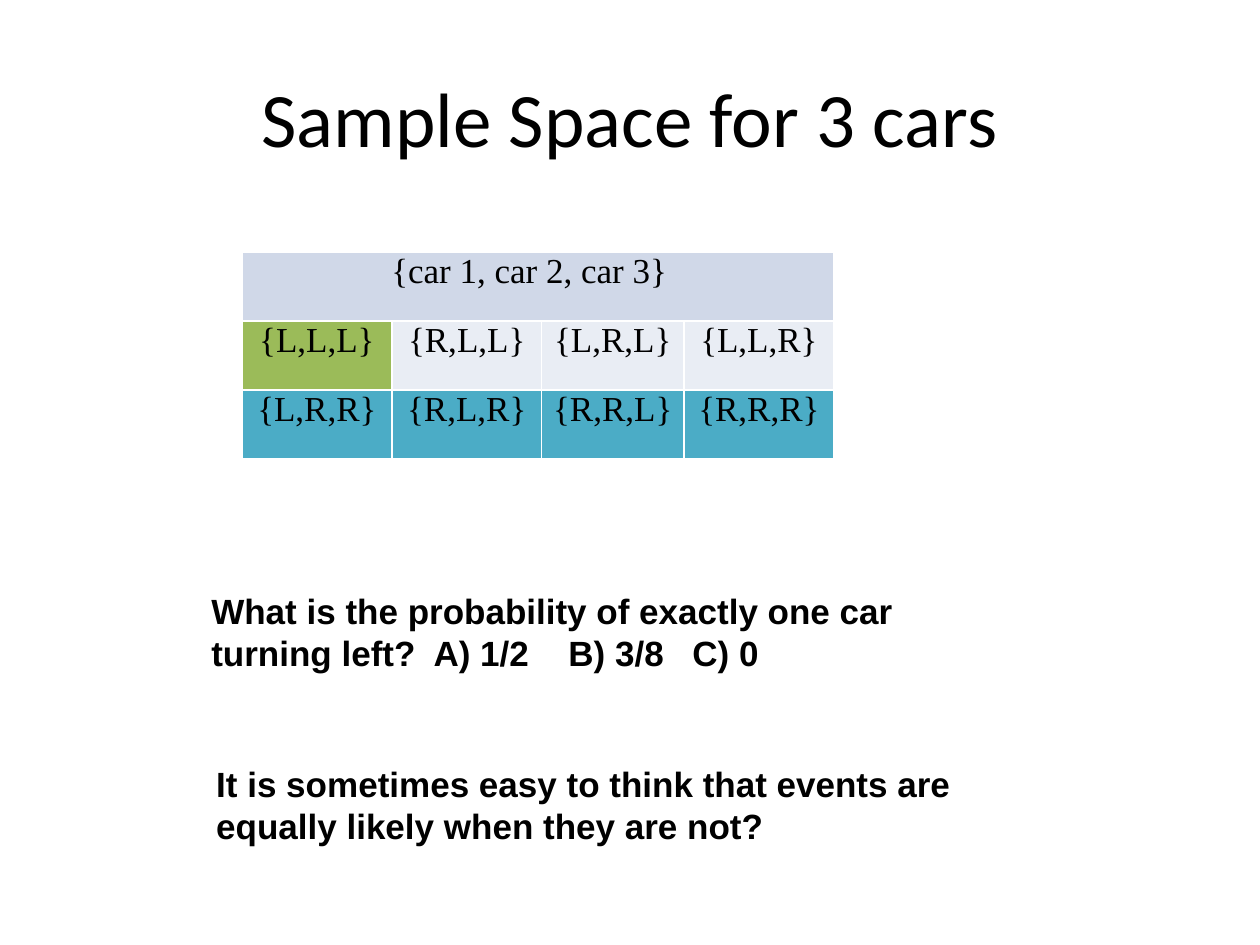
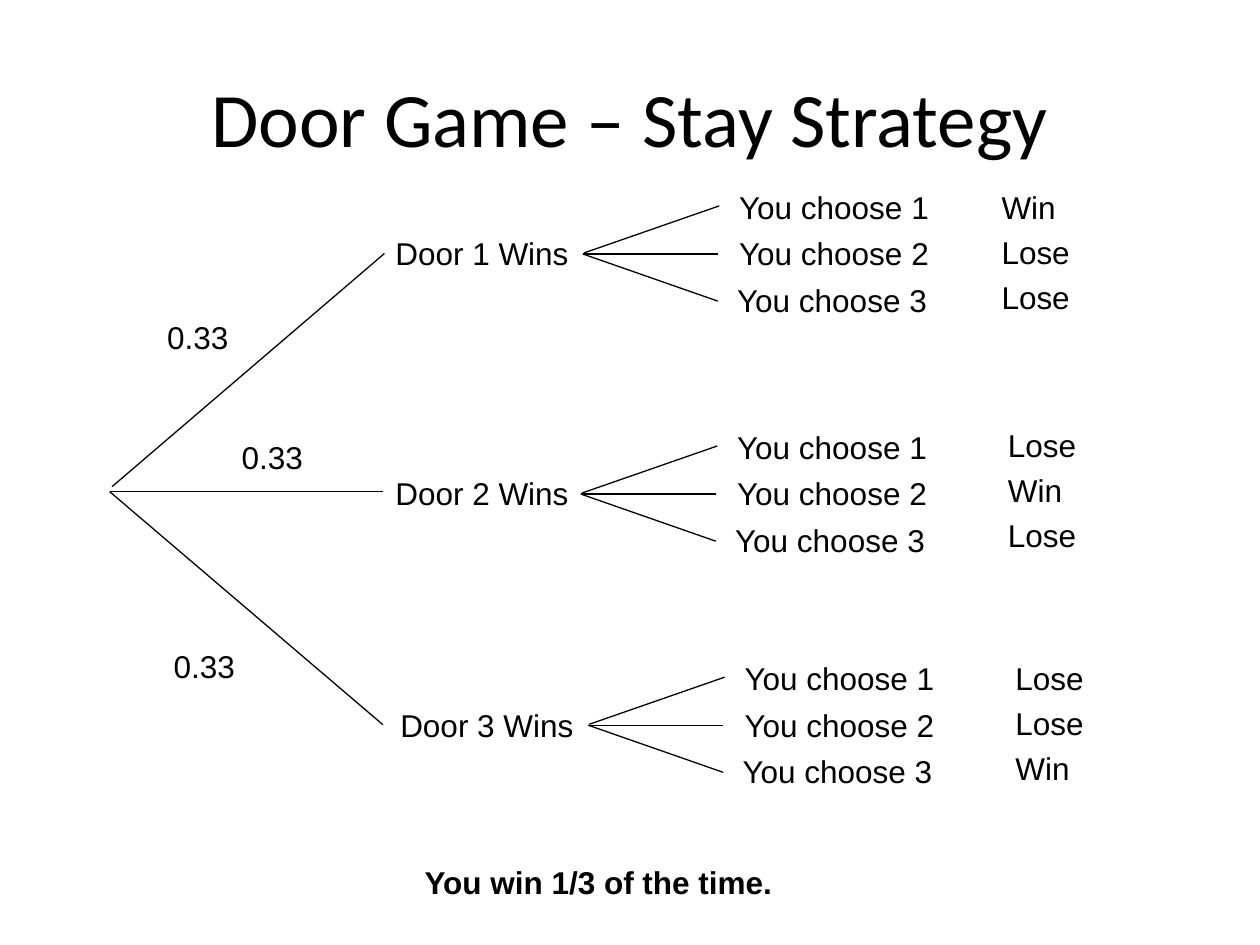
from lxml.etree import SubElement
from pptx import Presentation
from pptx.dml.color import RGBColor
from pptx.enum.shapes import MSO_CONNECTOR as Connector
from pptx.enum.text import MSO_ANCHOR as Anchor, MSO_AUTO_SIZE as AutoSize, PP_ALIGN as Align
from pptx.oxml import parse_xml
from pptx.oxml.ns import nsdecls, qn
from pptx.util import Cm, Pt

BLACK = RGBColor(0x00, 0x00, 0x00)
WHITE = RGBColor(0xFF, 0xFF, 0xFF)
PALE_BLUE = RGBColor(0xD0, 0xD8, 0xE8)
LIGHT_GREY = RGBColor(0xE9, 0xED, 0xF4)
GREEN = RGBColor(0x9B, 0xBB, 0x59)
TEAL = RGBColor(0x4B, 0xAC, 0xC6)

TITLE = {"name": "Calibri", "size": Pt(44)}
LABEL = {"name": "Arial", "size": Pt(18)}
CONCLUSION = {"name": "Arial", "size": Pt(18), "bold": True}
QUESTION = {"name": "Arial", "size": Pt(20), "bold": True}
TABLE_TEXT = {"name": "Times New Roman", "size": Pt(20)}
NO_MARGINS = {"margin_left": 0, "margin_right": 0, "margin_top": 0, "margin_bottom": 0}

LABEL_HEIGHT = 1.02


def set_all(target, values):
    """Set each attribute of the target from a dict."""
    for name, value in values.items():
        setattr(target, name, value)


def write(paragraph, text, font, alignment=Align.LEFT):
    """Write one black run in the given font."""
    run = paragraph.add_run()
    run.text = text
    set_all(run.font, font)
    run.font.color.rgb = BLACK
    paragraph.alignment = alignment


def add_text(shapes, box, text, font, wrap=False, alignment=Align.LEFT, **frame_format):
    """Place a text box and return its paragraph."""
    frame = shapes.add_textbox(*map(Cm, box)).text_frame
    set_all(frame, {"word_wrap": wrap, "auto_size": AutoSize.NONE, **frame_format})
    write(frame.paragraphs[0], text, font, alignment)
    return frame.paragraphs[0]


def add_line(shapes, start, end):
    """Draw a thin black line without a shadow."""
    line = shapes.add_connector(Connector.STRAIGHT, *map(Cm, (*start, *end)))
    set_all(line.line, {"width": Pt(0.75)})
    line.line.color.rgb = BLACK
    SubElement(line._element.spPr, qn("a:effectLst"))


def add_titled_slide(presentation, title):
    """Add a blank slide with the shared title style."""
    slide = presentation.slides.add_slide(presentation.slide_layouts[6])
    add_text(slide.shapes, (1.27, 0.76, 22.86, 3.18), title, TITLE, wrap=True,
             alignment=Align.CENTER, vertical_anchor=Anchor.MIDDLE)
    return slide


def style_cell(cell, fill):
    """Fill a cell and give it white borders."""
    set_all(cell, NO_MARGINS)
    cell.fill.solid()
    cell.fill.fore_color.rgb = fill
    properties = cell._tc.get_or_add_tcPr()
    for index, side in enumerate(("lnL", "lnR", "lnT", "lnB")):
        properties.insert(index, parse_xml(
            f'<a:{side} {nsdecls("a")} w="12700"><a:solidFill>'
            f'<a:srgbClr val="{WHITE}"/></a:solidFill></a:{side}>'))


def add_sample_space(slide, left, top):
    """Place the table of outcomes under a merged heading."""
    widths = (3.02, 3.02, 2.87, 3.02)
    row_height = 1.39
    rows = (
        (("{car 1, car 2, car 3}", "", "", ""), (PALE_BLUE,) * 4),
        (("{L,L,L}", "{R,L,L}", "{L,R,L}", "{L,L,R}"), (GREEN,) + (LIGHT_GREY,) * 3),
        (("{L,R,R}", "{R,L,R}", "{R,R,L}", "{R,R,R}"), (TEAL,) * 4),
    )
    box = (left, top, sum(widths), row_height * len(rows))
    table = slide.shapes.add_table(len(rows), len(widths), *map(Cm, box)).table
    for column, width in zip(table.columns, widths):
        column.width = Cm(width)
    for row, (texts, fills) in enumerate(rows):
        table.rows[row].height = Cm(row_height)
        for column, (text, fill) in enumerate(zip(texts, fills)):
            cell = table.cell(row, column)
            style_cell(cell, fill)
            if text:
                write(cell.text_frame.paragraphs[0], text, TABLE_TEXT, Align.CENTER)
    heading = table.cell(0, 0)
    heading.merge(table.cell(0, len(widths) - 1))
    heading.margin_right = Cm(0.35)


def add_question(slide, left, top, text, tab_stops=()):
    """Place an indented bold question with optional tab stops."""
    paragraph = add_text(slide.shapes, (left, top, 17.65, 1.96), text, QUESTION,
                         wrap=True, margin_left=Cm(1.52))
    if tab_stops:
        tab_list = SubElement(paragraph._p.get_or_add_pPr(), qn("a:tabLst"))
        for stop in tab_stops:
            SubElement(tab_list, qn("a:tab"), pos=str(Cm(stop)), algn="l")


def add_trunk(slide, left, middle):
    """Draw the three first branches with their probabilities."""
    for start, end in (((0.05, -0.1), (5.54, -4.8)), ((0, 0), (5.51, 0)), ((0, 0), (5.51, 4.7))):
        add_line(slide.shapes, (left + start[0], middle + start[1]),
                 (left + end[0], middle + end[1]))
    for across, down in ((0.91, -3.63), (2.41, -1.2), (1.04, 3)):
        add_text(slide.shapes, (left + across, middle + down, 1.75, LABEL_HEIGHT), "0.33", LABEL)


def add_choices(slide, left, top):
    """Draw the fork from a door to the three choices."""
    shapes = slide.shapes.add_group_shape().shapes
    hub = (left - 2.9, top + 1.46)
    add_line(shapes, (hub[0] + 0.02, hub[1] - 0.02), (left - 0.15, top + 0.49))
    for tip in (1.46, 2.41):
        add_line(shapes, hub, (left - 0.18, top + tip))
    for index, shift in enumerate((0, 0, -0.04)):
        add_text(shapes, (left + shift, top + 0.94 * index, 5.16, LABEL_HEIGHT),
                 f"You choose {index + 1}", LABEL, wrap=True)


def add_outcomes(slide, left, top, winner):
    """List the results, of which only the winner's row wins."""
    shapes = slide.shapes.add_group_shape().shapes
    for index in range(3):
        text, width = ("Win", 1.63) if index == winner else ("Lose", 1.91)
        add_text(shapes, (left, top + 0.91 * index, width, LABEL_HEIGHT), text, LABEL)


def build_sample_space_slide(presentation):
    """Build the slide with the outcomes for three cars."""
    slide = add_titled_slide(presentation, "Sample Space for 3 cars")
    add_sample_space(slide, 4.88, 5.08)
    add_question(slide, 2.74, 11.76, "What is the probability of exactly one car "
                 "turning left?\tA) 1/2\tB) 3/8\tC) 0", (4.48, 7.2, 9.7))
    add_question(slide, 2.84, 15.24, "It is sometimes easy to think that events are "
                 "equally likely when they are not?")


def build_door_game_slide(presentation):
    """Build the slide with the probability tree of the door game."""
    slide = add_titled_slide(presentation, "Door Game – Stay Strategy")
    add_trunk(slide, 2.21, 9.91)
    doors = (
        (7.72, (14.65, 3.66), (19.94, 3.66)),
        (7.72, (14.61, 8.5), (20.07, 8.46)),
        (7.82, (14.76, 13.16), (20.22, 13.16)),
    )
    for index, (door_left, choices, outcomes) in enumerate(doors):
        add_text(slide.shapes, (door_left, choices[1] + 0.94, 4.04, LABEL_HEIGHT),
                 f"Door {index + 1} Wins", LABEL)
        add_choices(slide, *choices)
        add_outcomes(slide, *outcomes, index)
    add_text(slide.shapes, (8.31, 17.27, 7.59, LABEL_HEIGHT),
             "You win 1/3 of the time.", CONCLUSION)


def main():
    """Build and save the presentation."""
    presentation = Presentation()
    set_all(presentation, {"slide_width": Cm(25.4), "slide_height": Cm(19.05)})
    build_sample_space_slide(presentation)
    build_door_game_slide(presentation)
    presentation.save("out.pptx")


main()
